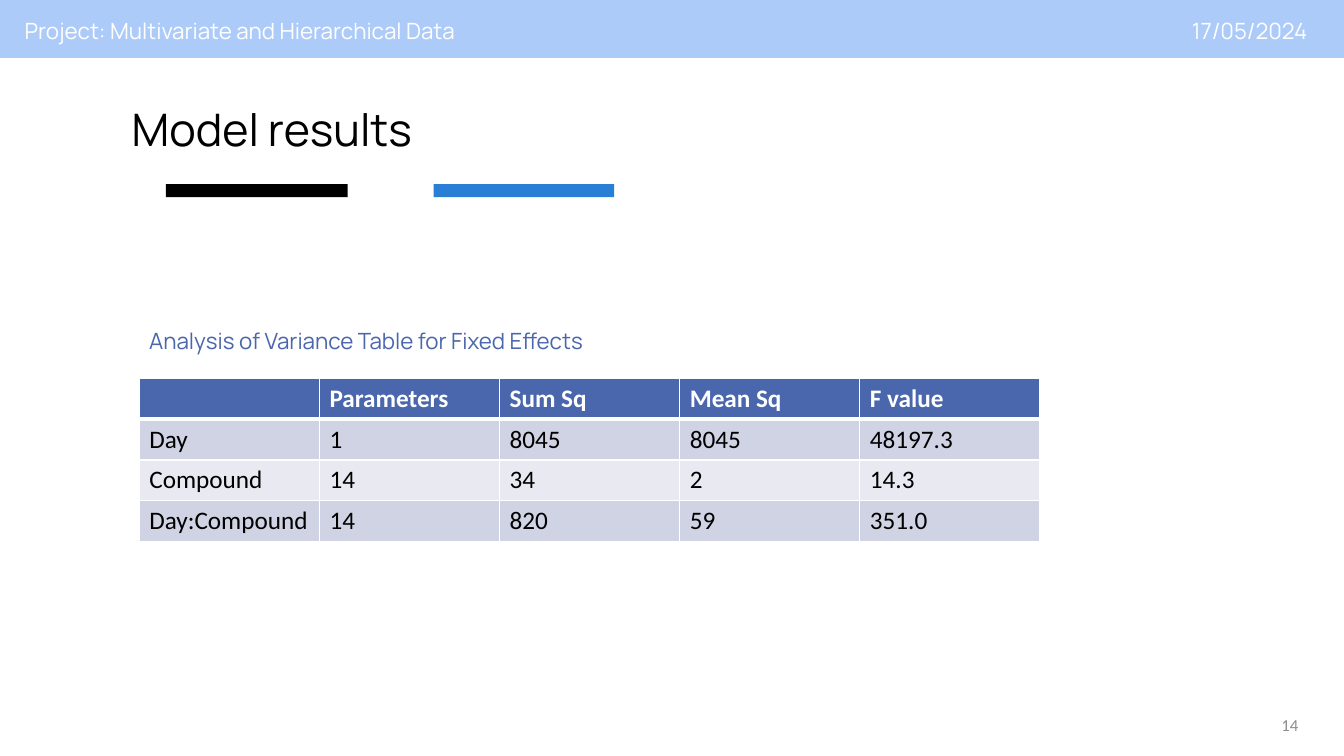
from lxml import etree
from pptx import Presentation
from pptx.dml.color import RGBColor
from pptx.enum.shapes import MSO_SHAPE
from pptx.enum.text import MSO_ANCHOR, PP_ALIGN
from pptx.oxml.ns import qn
from pptx.util import Cm, Pt

RECTANGLE = MSO_SHAPE.RECTANGLE
TOP, MIDDLE = MSO_ANCHOR.TOP, MSO_ANCHOR.MIDDLE
LEFT, RIGHT = PP_ALIGN.LEFT, PP_ALIGN.RIGHT

WHITE = RGBColor(0xFF, 0xFF, 0xFF)
BLACK = RGBColor(0x00, 0x00, 0x00)
GREY = RGBColor(0x8C, 0x8C, 0x8C)
PALE_BLUE = RGBColor(0xAC, 0xCB, 0xF9)
BRIGHT_BLUE = RGBColor(0x29, 0x7F, 0xD5)
INDIGO = RGBColor(0x4A, 0x66, 0xAC)
DARK_BAND = RGBColor(0xD0, 0xD3, 0xE3)
LIGHT_BAND = RGBColor(0xE9, 0xEA, 0xF1)

HEADING_FONT = "Manrope"
BODY_FONT = "Calibri"

ANOVA_ROWS = [
    ("", "Parameters", "Sum Sq", "Mean Sq", "F value"),
    ("Day", "1", "8045", "8045", "48197.3"),
    ("Compound", "14", "34", "2", "14.3"),
    ("Day:Compound", "14", "820", "59", "351.0"),
]


def style_font(font, name, size, color, bold=False):
    """Set the typeface, size, colour and weight of a font."""
    font.name = name
    font.size = Pt(size)
    font.color.rgb = color
    font.bold = bold


def add_bar(page, left, top, width, height, color):
    """Add a plain filled rectangle, placed in centimetres."""
    bar = page.shapes.add_shape(RECTANGLE, Cm(left), Cm(top), Cm(width), Cm(height))
    bar.shadow.inherit = False
    bar.fill.solid()
    bar.fill.fore_color.rgb = color
    bar.line.fill.background()


def add_text(page, text, place, font, size, color, anchor=MIDDLE, align=LEFT):
    """Add a one-paragraph text box, placed in centimetres."""
    box = page.shapes.add_textbox(*(Cm(length) for length in place))
    frame = box.text_frame
    frame.word_wrap = True
    frame.vertical_anchor = anchor
    para = frame.paragraphs[0]
    para.text = text
    para.alignment = align
    style_font(para.font, font, size, color)
    return para


def set_borders(cell, bottom_width):
    """Draw white cell borders, with the given bottom width in points."""
    properties = cell._tc.get_or_add_tcPr()
    widths = {"a:lnL": 1, "a:lnR": 1, "a:lnT": 1, "a:lnB": bottom_width}
    for position, (tag, width) in enumerate(widths.items()):
        line = etree.Element(qn(tag), w=str(Pt(width)))
        fill = etree.SubElement(line, qn("a:solidFill"))
        etree.SubElement(fill, qn("a:srgbClr"), val=str(WHITE))
        properties.insert(position, line)


def add_banded_table(page, rows, left, top, column_width, row_height):
    """Add a table with a dark header row and alternating bands."""
    row_count, column_count = len(rows), len(rows[0])
    table = page.shapes.add_table(
        row_count, column_count, Cm(left), Cm(top),
        Cm(column_width * column_count), Cm(row_height * row_count),
    ).table
    for row_index, values in enumerate(rows):
        header = row_index == 0
        band = DARK_BAND if row_index % 2 else LIGHT_BAND
        for column_index, value in enumerate(values):
            cell = table.cell(row_index, column_index)
            cell.fill.solid()
            cell.fill.fore_color.rgb = INDIGO if header else band
            set_borders(cell, 3 if header else 1)
            para = cell.text_frame.paragraphs[0]
            para.text = value
            style_font(para.font, BODY_FONT, 18, WHITE if header else BLACK, header)


def main():
    """Build the model results slide and save it."""
    deck = Presentation()
    deck.slide_width, deck.slide_height = Cm(33.87), Cm(19.05)
    page = deck.slides.add_slide(deck.slide_layouts[6])

    add_bar(page, 0, 0, 33.87, 1.46, PALE_BLUE)
    add_text(page, "Project: Multivariate and Hierarchical Data",
             (0.37, 0.08, 20, 1.38), HEADING_FONT, 16, WHITE)
    add_text(page, "17/05/2024", (27.2, 0.08, 6, 1.38),
             HEADING_FONT, 16, WHITE, align=RIGHT)

    title = add_text(page, "Model results", (3.07, 1.96, 28.47, 2.74),
                     HEADING_FONT, 32, BLACK)
    title.line_spacing = 0.9
    add_bar(page, 4.18, 4.64, 4.58, 0.33, BLACK)
    add_bar(page, 10.93, 4.64, 4.55, 0.33, BRIGHT_BLUE)

    add_text(page, "Analysis of Variance Table for Fixed Effects",
             (3.51, 8.13, 17.35, 0.94), HEADING_FONT, 16, INDIGO, anchor=TOP)
    add_banded_table(page, ANOVA_ROWS, 3.51, 9.53, 4.54, 1.03)
    add_text(page, "14", (30.94, 17.55, 2.03, 1.45),
             BODY_FONT, 12, GREY, align=RIGHT)

    deck.save("out.pptx")


if __name__ == "__main__":
    main()
